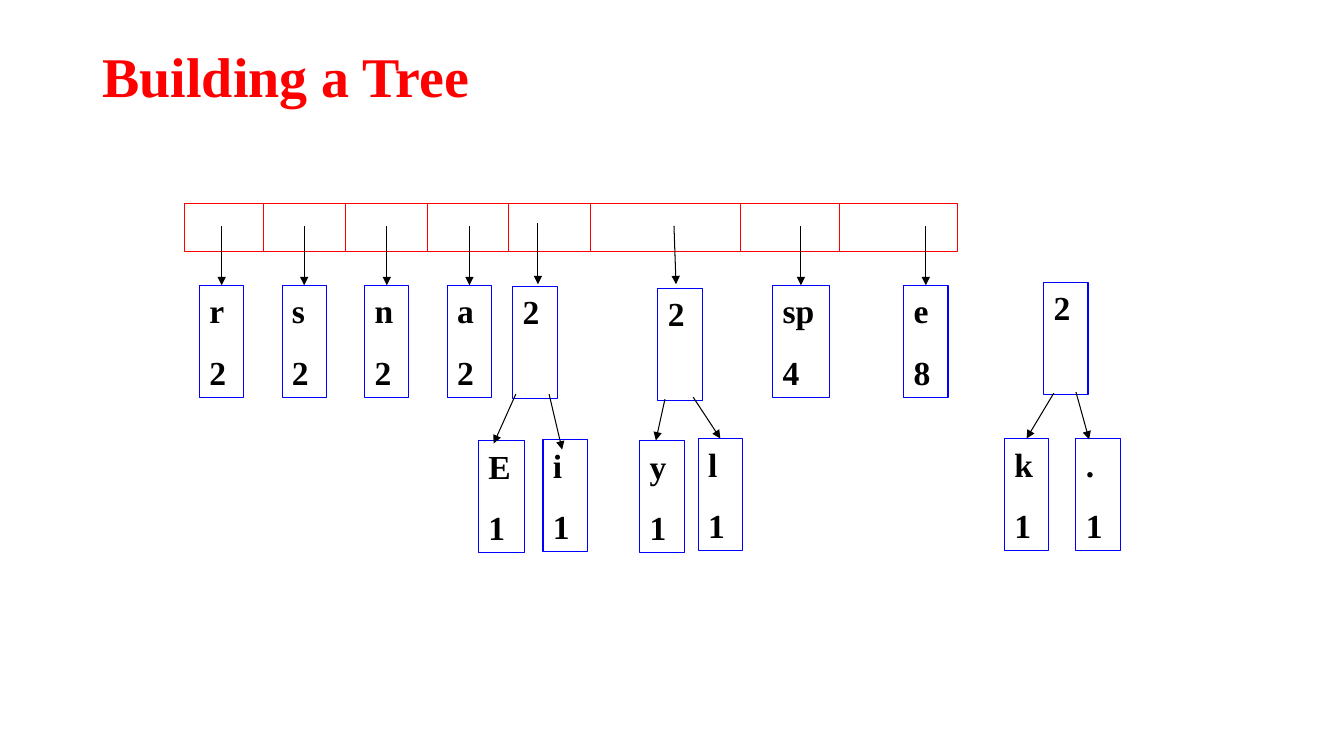
from lxml import etree
from pptx import Presentation
from pptx.dml.color import RGBColor
from pptx.enum.shapes import MSO_CONNECTOR, MSO_SHAPE
from pptx.enum.text import MSO_ANCHOR, PP_ALIGN
from pptx.oxml.ns import qn
from pptx.util import Inches, Pt

RED = RGBColor(0xFF, 0, 0)
BLUE = RGBColor(0, 0, 0xFF)
BLACK = RGBColor(0, 0, 0)
WHITE = RGBColor(0xFF, 0xFF, 0xFF)
FONT = "Times New Roman"
RECT = MSO_SHAPE.RECTANGLE
LINE = MSO_CONNECTOR.STRAIGHT
LEFT = PP_ALIGN.LEFT
TOP = MSO_ANCHOR.TOP
MIDDLE = MSO_ANCHOR.MIDDLE

CELL = Inches(0.1)
WIDE, HIGH = 4.4, 11.1
STEP, SLOT = 8.2, 8.1
DROP = 8.1
DIVIDERS = [7.9 + SLOT * i for i in range(5)] + [55.2, 65]
QUEUED = [(1.5 + STEP * i, WIDE, name, "2") for i, name in enumerate("rsna")]
QUEUED += [(58.4, 5.6, "sp", "4"), (71.4, WIDE, "e", "8")]
LINKS = [(35.1, 1.9, 35.1, 8), (48.6, 2.2, 48.8, 8)]

# Each leaf: letter, offset, width, arrow start, arrow tip (None joins the top).
TREES = [
    ((50.9, 28.4), [("E", (-3.4, 15.3), 4.6, (0.3, 10.7), (-1.9, 15.6)),
                    ("i", (3, 15.2), WIDE, (3.6, 10.7), (4.9, 16.2))]),
    ((65.3, 28.6), [("y", (-1.8, 15.1), WIDE, (0.7, 11), (-0.2, 15.1)),
                    ("l", (4, 14.9), WIDE, (3.5, 10.8), None)]),
    ((103.6, 28), [("k", (-3.9, 15.5), WIDE, (1, 11), None),
                   (".", (3.2, 15.5), WIDE, (3.2, 10.9), (4.5, 15.6))]),
]


def grid(*cells):
    """Turn grid cells into slide lengths."""
    return [round(cell * CELL) for cell in cells]


def style(par, size, color):
    """Give a paragraph the bold serif look."""
    par.alignment = LEFT
    par.font.name = FONT
    par.font.size = Pt(size)
    par.font.bold = True
    par.font.color.rgb = color


def stroke(slide, start, end, color):
    """Draw a thin straight line."""
    line = slide.shapes.add_connector(LINE, *grid(*start, *end))
    line.line.color.rgb = color
    line.line.width = Pt(0.75)
    etree.SubElement(line._element.spPr, qn("a:effectLst"))
    return line


def arrow(slide, start, end, node=None):
    """Draw an arrow, joined to the top of a node if one is given."""
    line = stroke(slide, start, end, BLACK)
    if node is not None:
        line.end_connect(node, 0)
    tail = etree.SubElement(line.line._get_or_add_ln(), qn("a:tailEnd"))
    tail.set("type", "triangle")


def frame(slide, x, y, w, h, color):
    """Draw an empty outlined box."""
    box = slide.shapes.add_shape(RECT, *grid(x, y, w, h))
    box.shadow.inherit = False
    box.fill.background()
    box.line.color.rgb = color
    box.line.width = Pt(0.75)
    return box


def node(slide, x, y, w, *words):
    """Draw a tree node with one paragraph per word."""
    box = frame(slide, x, y, w, HIGH, BLUE)
    text = box.text_frame
    text.word_wrap = True
    text.vertical_anchor = TOP
    text.text = "\n".join(words)
    for par in text.paragraphs:
        style(par, 24, BLACK)
    for par in text.paragraphs[1:]:
        par.space_before = Pt(15)
    return box


def title(slide, x, y, w, h):
    """Write the slide title."""
    text = slide.shapes.add_textbox(*grid(x, y, w, h)).text_frame
    text.word_wrap = True
    text.vertical_anchor = MIDDLE
    text.text = "Building a Tree"
    par = text.paragraphs[0]
    par.line_spacing = 0.9
    style(par, 40, RED)


def queue(slide, x, y, w, h):
    """Draw the queue, its slots, its single nodes and its links."""
    bar = frame(slide, x, y, w, h, RED)
    bar.fill.solid()
    bar.fill.fore_color.rgb = WHITE
    for dx in DIVIDERS:
        stroke(slide, (x + dx, y), (x + dx, y + h), RED)
    for dx, wide, *words in QUEUED:
        top = y + DROP
        box = node(slide, x + dx, top, wide, *words)
        mid = x + dx + wide / 2
        arrow(slide, (mid, y + 2.2), (mid, top), box)
    for ax, ay, bx, by in LINKS:
        arrow(slide, (x + ax, y + ay), (x + bx, y + by))


def tree(slide, x, y, leaves):
    """Draw a parent node with its leaves."""
    node(slide, x, y, WIDE, "2")
    for name, (dx, dy), wide, (ax, ay), tip in leaves:
        leaf = node(slide, x + dx, y + dy, wide, name, "1")
        bx, by = tip or (dx + wide / 2, dy)
        arrow(slide, (x + ax, y + ay), (x + bx, y + by),
              None if tip else leaf)


def main():
    """Build and save the slide."""
    deck = Presentation()
    deck.slide_width, deck.slide_height = Inches(13.34), Inches(7.5)
    slide = deck.slides.add_slide(deck.slide_layouts[6])
    title(slide, 9.2, 4, 115, 7.7)
    queue(slide, 18.3, 20.2, 76.7, 4.8)
    for (x, y), leaves in TREES:
        tree(slide, x, y, leaves)
    deck.save("out.pptx")


if __name__ == "__main__":
    main()
